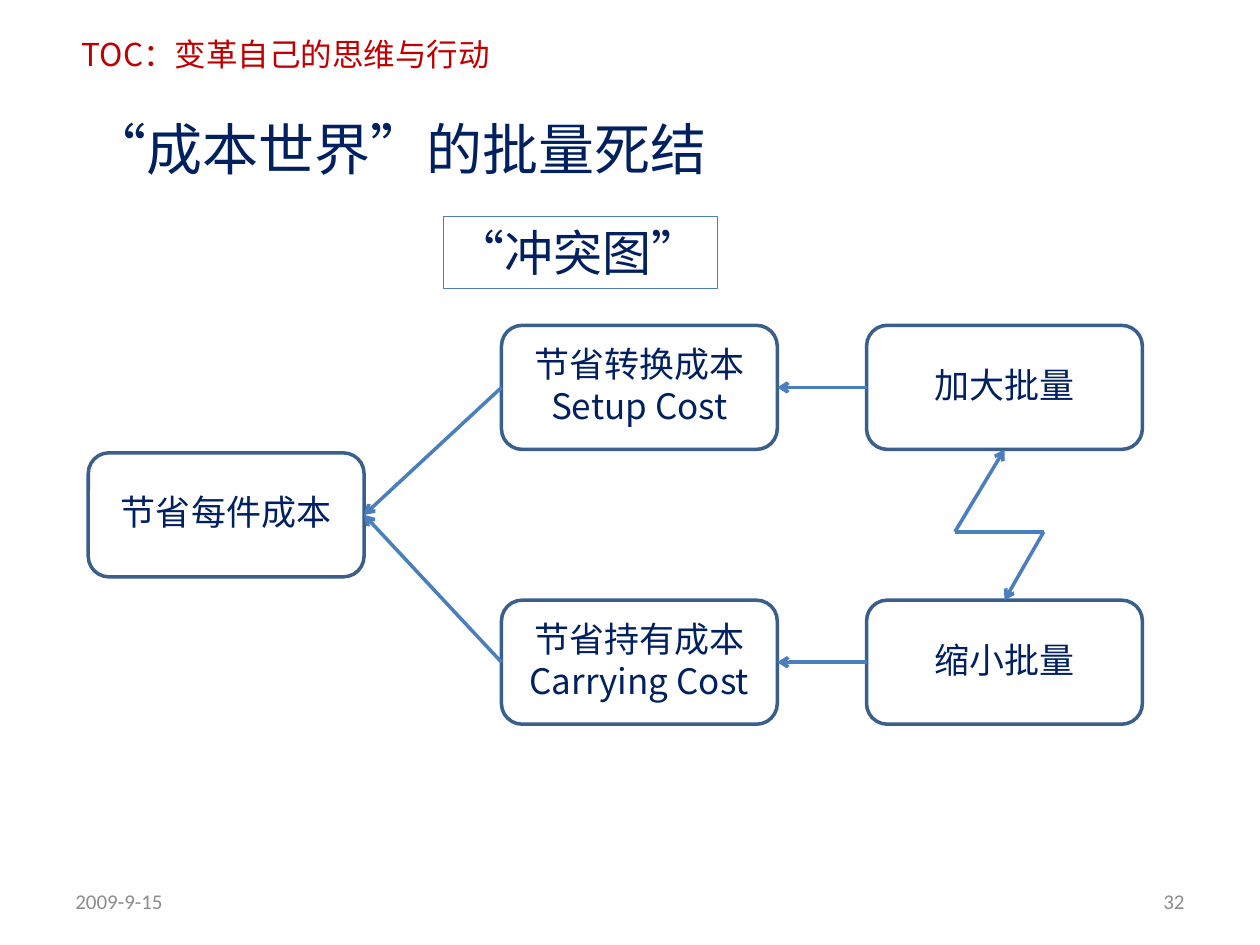
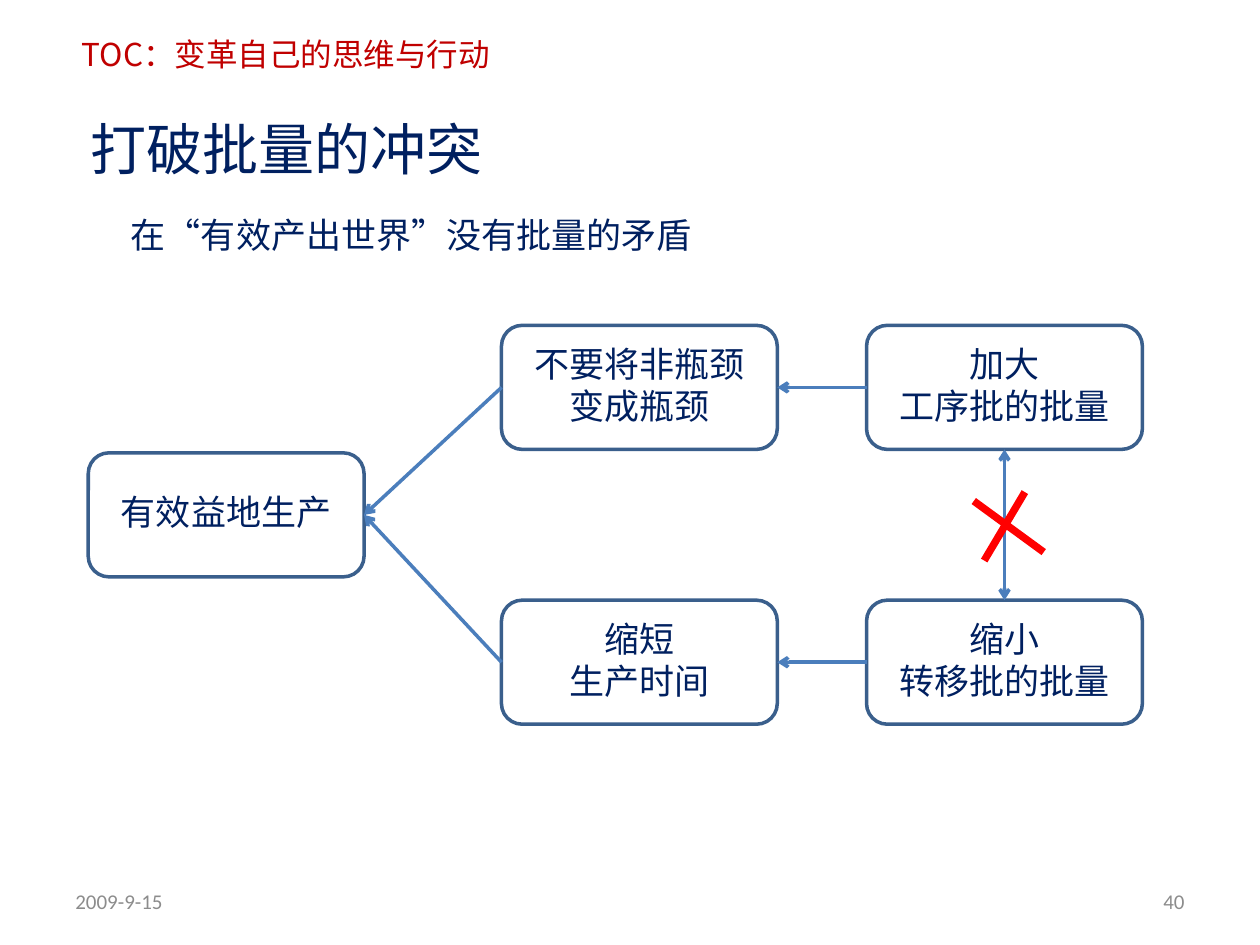
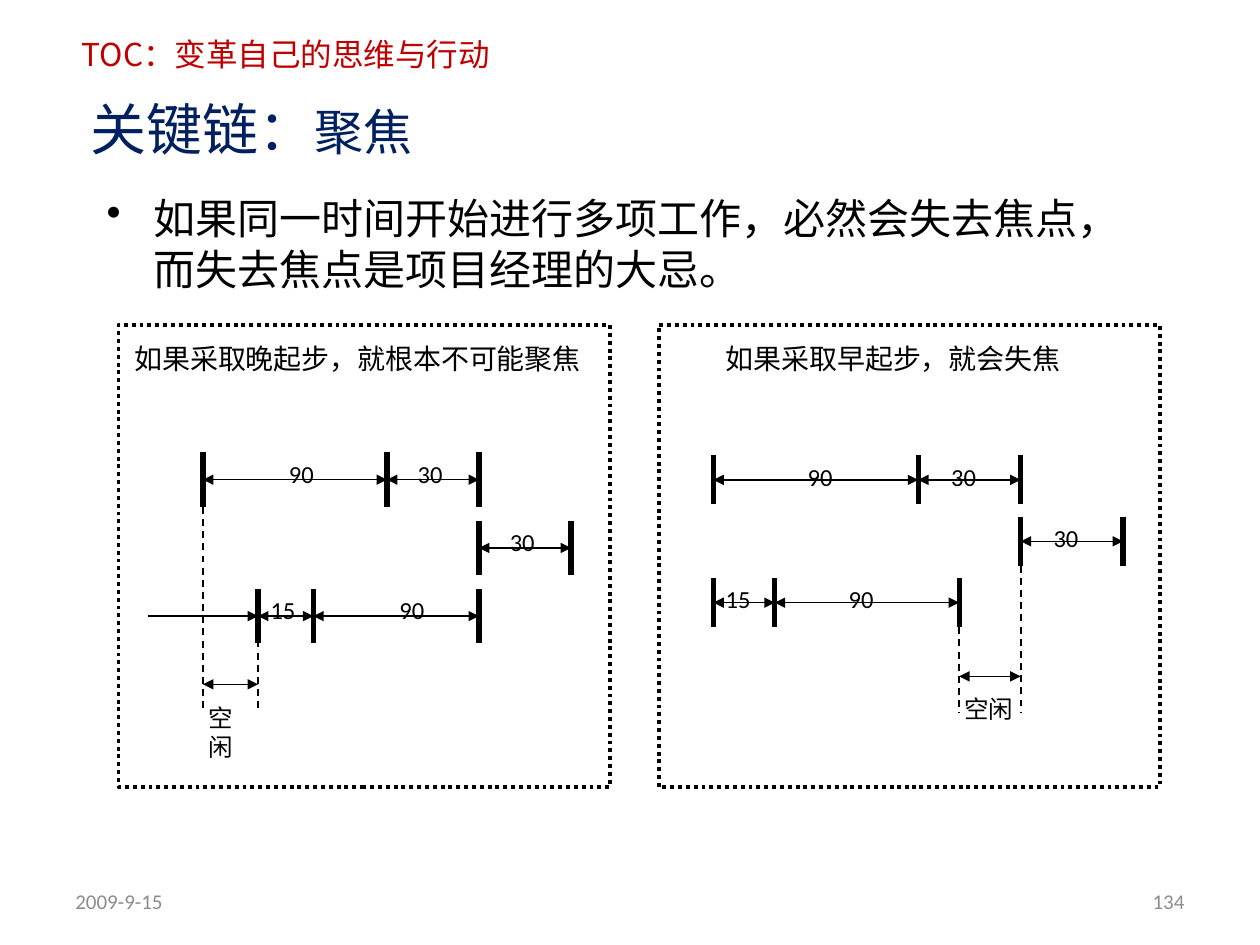
"""Build three slides on batch-size conflicts and critical-chain focus."""
from copy import deepcopy
from dataclasses import dataclass

from lxml import etree
from pptx import Presentation
from pptx import util as u
from pptx.dml.color import RGBColor
from pptx.enum import dml, lang, shapes, text
from pptx.oxml.ns import qn


@dataclass(frozen=True)
class Theme:
    navy: str = "002060"
    red: str = "C00000"
    cross: str = "FF0000"
    grey: str = "8C8C8C"
    black: str = "000000"
    outline: str = "3A5F8C"
    arrow: str = "4B7EBC"
    latin: str = "Calibri"
    chinese: str = "Noto Sans CJK SC"
    diagram: str = "Noto Sans CJK JP"
    title: int = 32
    subtitle: int = 28
    body: int = 24
    label: int = 20
    header: int = 18
    caption: int = 16
    number: int = 14
    footer: int = 12


theme = Theme()
LEFT, CENTER, RIGHT = text.PP_ALIGN.LEFT, text.PP_ALIGN.CENTER, text.PP_ALIGN.RIGHT
TOP, MIDDLE = text.MSO_ANCHOR.TOP, text.MSO_ANCHOR.MIDDLE


def write(box, words, size, color, font, align=LEFT, anchor=TOP):
    """Fill a shape with text in one style and return its text frame."""
    frame = box.text_frame
    frame.text = words
    frame.word_wrap = True
    frame.auto_size = text.MSO_AUTO_SIZE.NONE
    frame.vertical_anchor = anchor
    for para in frame.paragraphs:
        para.alignment = align
        para.line_spacing = u.Pt(size * 1.2)
        for span in para.runs:
            span.font.size = u.Pt(size)
            span.font.color.rgb = RGBColor.from_string(color)
            span.font.name = font
            span.font.language_id = lang.MSO_LANGUAGE_ID.SIMPLIFIED_CHINESE
            east = etree.SubElement(span.font._element, qn("a:ea"))
            east.set("typeface", theme.chinese if font == theme.latin else font)
    return frame


def draw_line(page, start, end, color, width, head=None, tail=None, dash=None):
    """Draw a straight connector between two points given in centimetres."""
    line = page.shapes.add_connector(
        shapes.MSO_CONNECTOR.STRAIGHT, *(u.Cm(value) for value in (*start, *end)))
    line.line.color.rgb = RGBColor.from_string(color)
    line.line.width = u.Pt(width)
    if dash:
        line.line.dash_style = dash
    for tag, kind in (("a:headEnd", head), ("a:tailEnd", tail)):
        if kind:
            etree.SubElement(line.line._get_or_add_ln(), qn(tag)).set("type", kind)
    etree.SubElement(line._element.spPr, qn("a:effectLst"))
    return line


deck = Presentation()
deck.slide_width, deck.slide_height = u.Cm(25.4), u.Cm(19.05)

headings = [
    ("“成本世界”的批量死结", 2.18, 13.1, "32"),
    ("打破批量的冲突", 2.18, 8.55, "40"),
    ("关键链：", 1.78, 7.15, "134"),
]
for heading, top, width, number in headings:
    page = deck.slides.add_slide(deck.slide_layouts[5])
    title = page.shapes.title
    title.left, title.top, title.width, title.height = (
        u.Cm(value) for value in (1.57, top, width, 1.63))
    write(title, heading, theme.title, theme.navy, theme.chinese)
    header = page.shapes.add_textbox(u.Cm(1.4), u.Cm(0.58), u.Cm(9.12), u.Cm(1.02))
    write(header, "TOC：变革自己的思维与行动", theme.header, theme.red, theme.chinese)
    for left, words, align in ((1.27, "2009-9-15", LEFT), (18.21, number, RIGHT)):
        footer = page.shapes.add_textbox(u.Cm(left), u.Cm(17.65), u.Cm(5.92), u.Cm(1.02))
        write(footer, words, theme.footer, theme.grey, theme.latin, align, MIDDLE)

cost_page, output_page, focus_page = deck.slides

places = {"goal": (1.78, 9.13), "upper need": (10.11, 6.56), "upper action": (17.47, 6.56),
          "lower need": (10.11, 12.1), "lower action": (17.47, 12.1)}
joins = [("upper need", "goal"), ("lower need", "goal"),
         ("upper action", "upper need"), ("lower action", "lower need")]
clouds = [
    (cost_page, ["节省每件成本", "节省转换成本\nSetup Cost", "加大批量",
                 "节省持有成本\nCarrying Cost", "缩小批量"]),
    (output_page, ["有效益地生产", "不要将非瓶颈变成瓶颈", "加大\n工序批的批量",
                   "缩短\n生产时间", "缩小\n转移批的批量"]),
]
actions = []
for page, labels in clouds:
    boxes = {}
    for (name, (left, top)), label in zip(places.items(), labels):
        box = page.shapes.add_shape(shapes.MSO_SHAPE.FLOWCHART_ALTERNATE_PROCESS,
                                    u.Cm(left), u.Cm(top), u.Cm(5.56), u.Cm(2.5))
        box.shadow.inherit = False
        box.fill.background()
        box.line.color.rgb = RGBColor.from_string(theme.outline)
        box.line.width = u.Pt(2)
        frame = write(box, label, theme.label, theme.navy, theme.diagram, CENTER, MIDDLE)
        frame.margin_bottom = u.Cm(0.25)
        boxes[name] = box
    for source, target in joins:
        arrow = draw_line(page, (0, 0), (1, 1), theme.arrow, 2, tail="arrow")
        arrow.begin_connect(boxes[source], 1)
        arrow.end_connect(boxes[target], 3)
    actions.append((boxes["upper action"], boxes["lower action"]))

upper, lower = actions[0]
bend_left, bend_right = (19.25, 10.72), (21.04, 10.72)
draw_line(cost_page, bend_right, (20.25, 12.1), theme.arrow, 2, tail="arrow").end_connect(lower, 0)
draw_line(cost_page, bend_left, (20.25, 9.06), theme.arrow, 2, tail="arrow").end_connect(upper, 2)
draw_line(cost_page, bend_right, bend_left, theme.arrow, 2)

conflict = cost_page.shapes.add_shape(
    shapes.MSO_SHAPE.RECTANGLE, u.Cm(8.94), u.Cm(4.37), u.Cm(5.52), u.Cm(1.45))
conflict.shadow.inherit = False
conflict.fill.background()
conflict.line.color.rgb = RGBColor.from_string(theme.arrow)
conflict.line.width = u.Pt(0.75)
write(conflict, "“冲突图”", theme.subtitle, theme.navy, theme.diagram)

upper, lower = actions[1]
clash = draw_line(output_page, (0, 0), (1, 1), theme.arrow, 2, "arrow", "arrow")
clash.begin_connect(lower, 0)
clash.end_connect(upper, 2)
for start, end in (((20.66, 9.92), (19.84, 11.3)), ((21.04, 11.13), (19.63, 10.1))):
    draw_line(output_page, start, end, theme.cross, 4.25)
subtitle = output_page.shapes.add_textbox(u.Cm(2.39), u.Cm(4.17), u.Cm(12), u.Cm(1.12))
write(subtitle, "在“有效产出世界”没有批量的矛盾", theme.label, theme.navy, theme.chinese)

para = focus_page.shapes.title.text_frame.paragraphs[0]
para._p.append(deepcopy(para.runs[0]._r))
para.runs[1].text = "聚焦"
para.runs[1].font.size = u.Pt(theme.subtitle)

body = focus_page.shapes.add_textbox(u.Cm(1.9), u.Cm(3.76), u.Cm(21.11), u.Cm(2.18))
frame = write(body, "如果同一时间开始进行多项工作，必然会失去焦点，而失去焦点是项目经理的大忌。",
              theme.body, theme.black, theme.latin)
bullet = frame.paragraphs[0]._p.get_or_add_pPr()
bullet.set("marL", str(u.Cm(0.95)))
bullet.set("indent", str(u.Cm(-0.95)))
etree.SubElement(bullet, qn("a:buChar")).set("char", "•")

shared_tasks = [(0, 10, 0, "90", 4), (10, 15, 0, "30", 11), (15, 20, 1, "30", 16)]
panels = [
    dict(frame=(2.39, 9.9), caption=(2.46, 9.8, "如果采取晚起步，就根本不可能聚焦"),
         origin=(4.09, 9.12), span=7.42, depth=5.5,
         tasks=[(3, 6, 2, "15", 3), (6, 15, 2, "90", 10)],
         guides=[(0, 4), (3, 12)], guide_end=19, idle=(0, 3, 17)),
    dict(frame=(13.28, 10.1), caption=(14.38, 7.67, "如果采取早起步，就会失焦"),
         origin=(14.38, 9.18), span=8.26, depth=4.95,
         tasks=[(0, 3, 2, "15", 0), (3, 12, 2, "90", 6)],
         guides=[(15, 9), (12, 14)], guide_end=21, idle=(12, 15, 18)),
]
for panel in panels:
    left, width = panel["frame"]
    border = focus_page.shapes.add_shape(
        shapes.MSO_SHAPE.RECTANGLE, u.Cm(left), u.Cm(6.55), u.Cm(width), u.Cm(9.32))
    border.shadow.inherit = False
    border.fill.background()
    border.line.color.rgb = RGBColor.from_string(theme.black)
    border.line.width = u.Pt(2.25)
    border.line.dash_style = dml.MSO_LINE.ROUND_DOT

    left, width, words = panel["caption"]
    caption = focus_page.shapes.add_textbox(u.Cm(left), u.Cm(6.76), u.Cm(width), u.Cm(0.94))
    write(caption, words, theme.caption, theme.black, theme.latin)

    x, y = panel["origin"]
    column, step = panel["span"] / 20, panel["depth"] / 20
    tasks = shared_tasks + panel["tasks"]
    ticks = {(edge, row) for start, end, row, *_ in tasks for edge in (start, end)}
    for edge, row in sorted(ticks):
        across, top = x + edge * column, y + row * 5 * step
        draw_line(focus_page, (across, top), (across, top + 4 * step), theme.black, 3)
    for edge, top in panel["guides"]:
        across = x + edge * column
        draw_line(focus_page, (across, y + top * step), (across, y + panel["guide_end"] * step),
                  theme.black, 1, dash=dml.MSO_LINE.DASH)

    idle_start, idle_end, idle_level = panel["idle"]
    arrows = [(start, end, row * 5 + 2) for start, end, row, *_ in tasks]
    for start, end, level in arrows + [(idle_start, idle_end, idle_level)]:
        draw_line(focus_page, (x + start * column, y + level * step),
                  (x + end * column, y + level * step),
                  theme.black, 0.75, "triangle", "triangle")

    labels = [(place, row * 5, 3, words) for _, _, row, words, place in tasks]
    labels.append((idle_start - 0.35, idle_level + 0.9, 4, "空闲"))
    for place, level, size, words in labels:
        label = focus_page.shapes.add_textbox(
            u.Cm(x + place * column), u.Cm(y + level * step),
            u.Cm(size * column), u.Cm(size * step))
        write(label, words, theme.number, theme.black, theme.latin)

x, y = panels[0]["origin"]
column, step = panels[0]["span"] / 20, panels[0]["depth"] / 20
draw_line(focus_page, (x - 3 * column, y + 12 * step), (x + 3 * column, y + 12 * step),
          theme.black, 0.75, tail="triangle")

deck.save("out.pptx")
